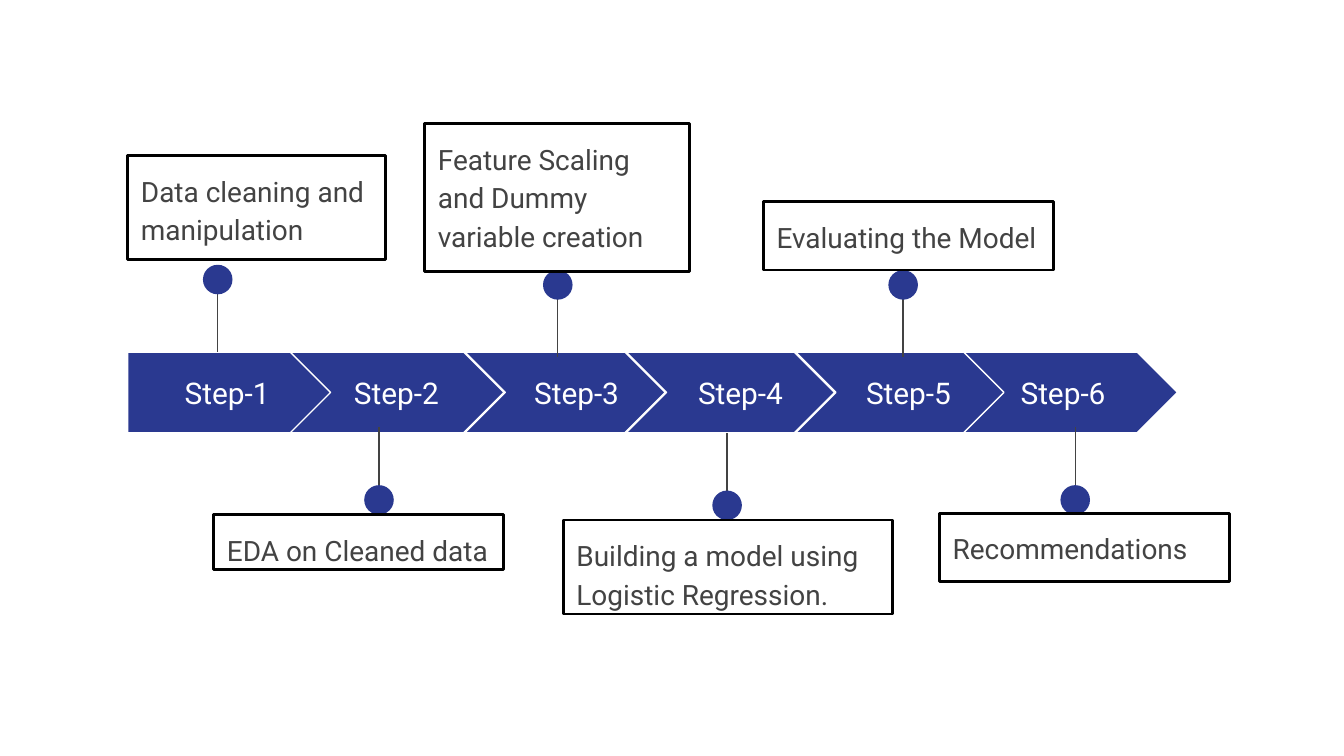
from collections import namedtuple

from lxml.etree import SubElement
from pptx import Presentation
from pptx.dml.color import RGBColor
from pptx.enum.shapes import MSO_CONNECTOR, MSO_SHAPE
from pptx.enum.text import MSO_ANCHOR, PP_ALIGN
from pptx.oxml.ns import qn
from pptx.util import Inches, Pt

BLUE = RGBColor(0x2A, 0x39, 0x90)
GRAY = RGBColor(0x43, 0x43, 0x43)
WHITE = RGBColor(0xFF, 0xFF, 0xFF)
BLACK = RGBColor(0x00, 0x00, 0x00)

FONT = "Roboto"
BAND_TOP, BAND_HEIGHT = 2.62, 0.6
LABEL_WIDTH, LABEL_HEIGHT = 1.1, 0.4
STEM_LENGTH, DOT_REACH, DOT_SIZE = 0.61, 0.54, 0.22

Step = namedtuple("Step", "arrow_left arrow_width label_center pin_x pin_y note note_box")
STEPS = [
    Step(0.95, 1.55, 1.69, 1.62, 2.62, "Data cleaning and manipulation", (0.95, 1.16, 1.92, 0.77)),
    Step(2.16, 1.59, 2.95, 2.82, 3.18, "EDA on Cleaned data", (1.59, 3.83, 2.16, 0.41)),
    Step(3.46, 1.49, 4.29, 4.15, 2.66, "Feature Scaling and Dummy variable creation",
         (3.16, 0.92, 1.97, 1.1)),
    Step(4.66, 1.55, 5.51, 5.41, 3.22, "Building a model using Logistic Regression.",
         (4.19, 3.87, 2.45, 0.7)),
    Step(5.92, 1.59, 6.76, 6.72, 2.66, "Evaluating the Model", (5.68, 1.5, 2.16, 0.51)),
    Step(7.17, 1.59, 7.91, 8, 3.18, "Recommendations", (6.99, 3.82, 2.16, 0.51)),
]


def add_text(slide, box, text, size, color, anchor):
    """Add a wrapped text box with even insets and return it."""
    text_box = slide.shapes.add_textbox(*map(Inches, box))
    frame = text_box.text_frame
    frame.word_wrap = True
    frame.vertical_anchor = anchor
    frame.margin_left = frame.margin_right = Inches(0.1)
    frame.margin_top = frame.margin_bottom = Inches(0.1)
    frame.text = text
    font = frame.paragraphs[0].font
    font.name, font.size, font.color.rgb = FONT, Pt(size), color
    return text_box


def add_filled_shape(slide, kind, box):
    """Add a blue shape without shadow and return it."""
    shape = slide.shapes.add_shape(kind, *map(Inches, box))
    shape.shadow.inherit = False
    shape.fill.solid()
    shape.fill.fore_color.rgb = BLUE
    return shape


def add_arrow(slide, box, kind, label, label_center):
    """Add one arrow of the process band with its label."""
    left, top, width, height = box
    arrow = add_filled_shape(slide, kind, box)
    arrow.line.color.rgb = WHITE
    arrow.line.width = Pt(0.75)
    label_box = (label_center - LABEL_WIDTH / 2, top + (height - LABEL_HEIGHT) / 2,
                 LABEL_WIDTH, LABEL_HEIGHT)
    text_box = add_text(slide, label_box, label, 16, WHITE, MSO_ANCHOR.MIDDLE)
    text_box.text_frame.paragraphs[0].alignment = PP_ALIGN.CENTER


def add_pin(slide, x, y, direction):
    """Add a stem from the band at (x, y), up for -1 or down for 1, ending in a dot."""
    stem = slide.shapes.add_connector(
        MSO_CONNECTOR.STRAIGHT, Inches(x), Inches(y + direction * STEM_LENGTH),
        Inches(x), Inches(y))
    stem.line.color.rgb = GRAY
    stem.line.width = Pt(0.75)
    SubElement(stem.element.spPr, qn("a:effectLst"))
    dot_box = (x - DOT_SIZE / 2, y + direction * DOT_REACH - DOT_SIZE / 2, DOT_SIZE, DOT_SIZE)
    dot = add_filled_shape(slide, MSO_SHAPE.OVAL, dot_box)
    dot.line.fill.background()


def add_note(slide, box, text):
    """Add an outlined note that describes a step."""
    note = add_text(slide, box, text, 15, GRAY, MSO_ANCHOR.TOP)
    note.line.color.rgb = BLACK
    note.line.width = Pt(1.5)
    paragraph = note.text_frame.paragraphs[0]
    paragraph.line_spacing = 1.15
    paragraph.space_after = Pt(16)


def add_timeline(slide, steps):
    """Add the band of arrows, with pinned notes alternately above and below."""
    for number, step in enumerate(steps, 1):
        kind = MSO_SHAPE.PENTAGON if number == 1 else MSO_SHAPE.CHEVRON
        arrow_box = (step.arrow_left, BAND_TOP, step.arrow_width, BAND_HEIGHT)
        add_arrow(slide, arrow_box, kind, f"Step-{number}", step.label_center)
    for number, step in enumerate(steps, 1):
        add_pin(slide, step.pin_x, step.pin_y, -1 if number % 2 else 1)
        add_note(slide, step.note_box, step.note)


def main():
    """Build and save the presentation."""
    presentation = Presentation()
    presentation.slide_width = Inches(10)
    presentation.slide_height = Inches(10 * 9 / 16)
    slide = presentation.slides.add_slide(presentation.slide_layouts[6])
    add_timeline(slide, STEPS)
    presentation.save("out.pptx")


if __name__ == "__main__":
    main()
